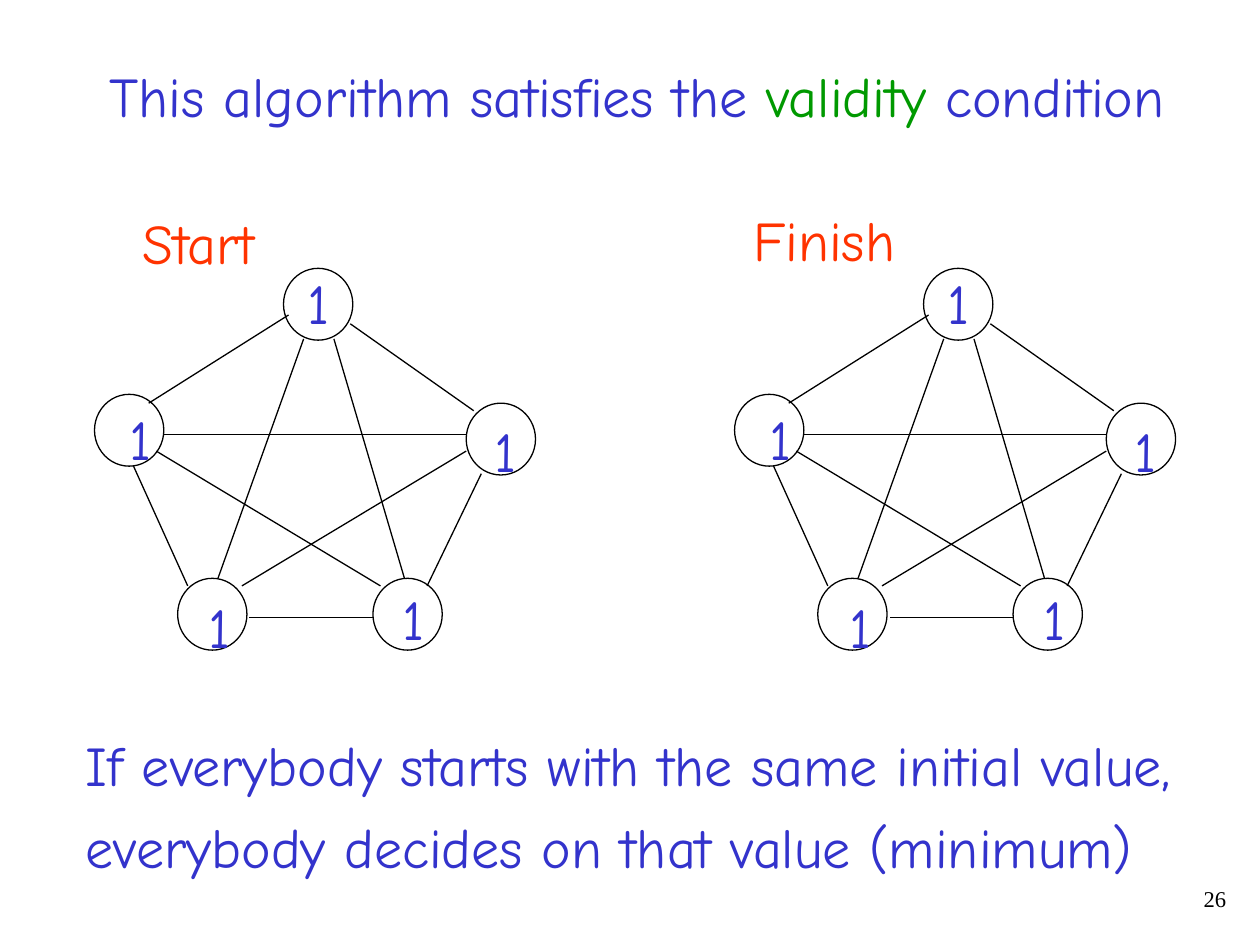
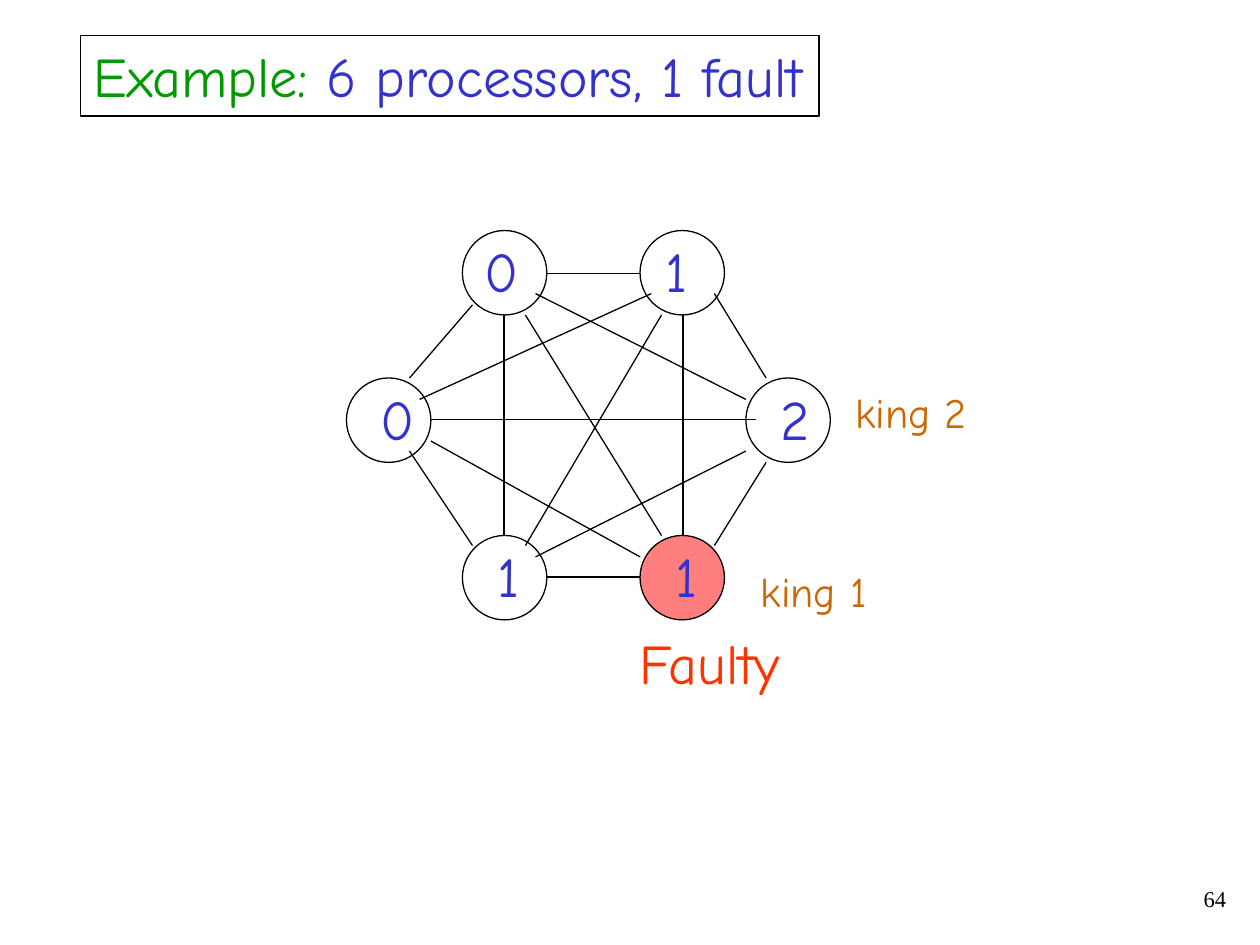
"""Build two slides on consensus: the validity condition and a faulty-king example."""
from dataclasses import dataclass

from lxml import etree
from pptx import Presentation
from pptx import util as u
from pptx.dml.color import RGBColor
from pptx.enum import shapes, text
from pptx.oxml.ns import qn


@dataclass(frozen=True)
class Theme:
    blue: str = "3333CC"
    green: str = "009900"
    red: str = "FF3300"
    orange: str = "CC6600"
    black: str = "000000"
    fault: str = "FF0000"
    font: str = "Comic Neue"
    number_font: str = "Times New Roman"
    large: float = 32
    small: float = 24
    number: float = 12.9
    rule: float = 0.75


theme = Theme()


def write(box, at, paragraphs, size=theme.large, font=theme.font):
    """Place a text shape and fill it with paragraphs of (words, colour) runs."""
    box.left, box.top, box.width, box.height = [u.Inches(length) for length in at]
    frame = box.text_frame
    frame.word_wrap = False
    frame.auto_size = text.MSO_AUTO_SIZE.NONE
    frame.vertical_anchor = text.MSO_ANCHOR.TOP
    for index, runs in enumerate(paragraphs):
        para = frame.add_paragraph() if index else frame.paragraphs[0]
        para.alignment = text.PP_ALIGN.LEFT
        para.space_before = u.Pt(size // 4)
        for words, colour in runs:
            span = para.add_run()
            span.text = words
            span.font.name = font
            span.font.size = u.Pt(size)
            span.font.color.rgb = RGBColor.from_string(colour)
    return frame


def draw_network(canvas, size, nodes, edges, shift=0):
    """Draw circles, then edges, then digits; return the circles."""
    black = RGBColor.from_string(theme.black)
    circles = []
    for left, top, *label in nodes:
        circle = canvas.add_shape(
            shapes.MSO_SHAPE.OVAL,
            u.Inches(left + shift), u.Inches(top), *[u.Inches(side) for side in size],
        )
        circle.shadow.inherit = False
        circle.fill.background()
        circle.line.color.rgb = black
        circle.line.width = u.Pt(theme.rule)
        circles.append(circle)
    for x1, y1, x2, y2 in edges:
        edge = canvas.add_connector(
            shapes.MSO_CONNECTOR.STRAIGHT,
            u.Inches(x1 + shift), u.Inches(y1), u.Inches(x2 + shift), u.Inches(y2),
        )
        edge.line.color.rgb = black
        edge.line.width = u.Pt(theme.rule)
        etree.SubElement(edge._element.spPr, qn("a:effectLst"))
    for left, top, digit, dx, dy in nodes:
        at = (left + dx + shift, top + dy, digit_widths[digit], 0.64)
        write(canvas.add_textbox(0, 0, 0, 0), at, [[(digit, theme.blue)]])
    return circles


digit_widths = {"0": 0.47, "1": 0.37, "2": 0.43}

deck = Presentation()
deck.slide_width, deck.slide_height = u.Inches(10), u.Inches(7.5)

validity = deck.slides.add_slide(deck.slide_layouts[1])
write(validity.shapes.title, (0.77, 0.44, 8.58, 0.64), [[
    ("This algorithm satisfies the ", theme.blue),
    ("validity", theme.green),
    (" condition", theme.blue),
]])
statement = write(validity.placeholders[1], (0.58, 5.75, 8.85, 1.28), [
    [("If everybody starts with the same initial value,", theme.blue)],
    [("everybody decides on that value (minimum)", theme.blue)],
])
for para in statement.paragraphs:
    settings = para._p.get_or_add_pPr()
    settings.set("marL", "0")
    settings.set("indent", "0")
    etree.SubElement(settings, qn("a:buNone"))

pentagon_nodes = [
    (0.75, 3.13, "1", 0.18, 0.03),
    (2.25, 2.13, "1", 0.09, -0.05),
    (3.7, 3.2, "1", 0.13, 0.06),
    (2.96, 4.59, "1", 0.14, 0),
    (1.41, 4.59, "1", 0.15, 0.06),
]
pentagon_edges = [
    (1.18, 3.2, 2.29, 2.5), (2.78, 2.57, 3.76, 3.26),
    (3.82, 3.76, 3.39, 4.65), (2.96, 4.9, 1.98, 4.9),
    (1.49, 4.65, 1.06, 3.7), (1.3, 3.45, 3.7, 3.45),
    (1.24, 3.58, 3.02, 4.65), (3.7, 3.58, 1.92, 4.65),
    (2.41, 2.69, 1.73, 4.59), (2.65, 2.69, 3.21, 4.59),
]
for stage, at, shift in [
    ("Start", (1.03, 1.61, 1.1, 0.64), 0),
    ("Finish", (5.88, 1.58, 1.33, 0.64), 5.08),
]:
    write(validity.shapes.add_textbox(0, 0, 0, 0), at, [[(stage, theme.red)]])
    group = validity.shapes.add_group_shape()
    draw_network(group.shapes, (0.55, 0.57), pentagon_nodes, pentagon_edges, shift)

example = deck.slides.add_slide(deck.slide_layouts[5])
heading = example.shapes.title
write(heading, (0.64, 0.28, 5.86, 0.64), [[
    ("Example:", theme.green),
    (" 6 processors, 1 fault", theme.blue),
]])
heading.line.color.rgb = RGBColor.from_string(theme.black)
heading.line.width = u.Pt(theme.rule)

hexagon_nodes = [
    (3.67, 1.83, "0", 0.08, 0),
    (2.75, 3, "0", 0.17, 0),
    (5.08, 1.83, "1", 0.1, 0),
    (5.92, 3, "2", 0.18, 0),
    (3.67, 4.25, "1", 0.18, 0),
    (5.08, 4.25, "1", 0.18, 0),
]
hexagon_edges = [
    (3.25, 3, 3.75, 2.42), (4.33, 2.17, 5.08, 2.17), (5.67, 2.33, 6.08, 3),
    (6.08, 3.67, 5.67, 4.33), (5.08, 4.58, 4.33, 4.58), (3.75, 4.33, 3.25, 3.58),
    (4.25, 2.33, 5.92, 3.17), (4.17, 2.5, 5.25, 4.25), (4, 2.5, 4, 4.25),
    (5.17, 2.33, 3.33, 3.17), (3.42, 3.33, 6, 3.33), (3.42, 3.5, 5.08, 4.42),
    (5.42, 4.25, 5.42, 2.5), (5.25, 2.5, 4.17, 4.33), (4.25, 4.42, 5.92, 3.58),
]
processors = draw_network(example.shapes, (0.67, 0.67), hexagon_nodes, hexagon_edges)
faulty = processors[-1]
faulty.fill.solid()
faulty.fill.fore_color.rgb = RGBColor.from_string(theme.fault)
fault_colour = faulty._element.spPr.find(qn("a:solidFill")).find(qn("a:srgbClr"))
etree.SubElement(fault_colour, qn("a:alpha"), val="50000")

for words, at, colour, size in [
    ("Faulty", (4.98, 4.94, 1.34, 0.64), theme.red, theme.large),
    ("king 1", (5.94, 4.44, 1.04, 0.5), theme.orange, theme.small),
    ("king 2", (6.69, 3.02, 1.08, 0.5), theme.orange, theme.small),
]:
    write(example.shapes.add_textbox(0, 0, 0, 0), at, [[(words, colour)]], size)

for page, number in [(validity, "26"), (example, "64")]:
    footer = write(
        page.shapes.add_textbox(0, 0, 0, 0), (7.75, 7, 2.08, 0.33),
        [[(number, theme.black)]], theme.number, theme.number_font,
    )
    footer.word_wrap = True
    footer.paragraphs[0].alignment = text.PP_ALIGN.RIGHT
    footer.paragraphs[0].line_spacing = 0.9
    footer.paragraphs[0].space_before = u.Pt(0)

deck.save("out.pptx")
